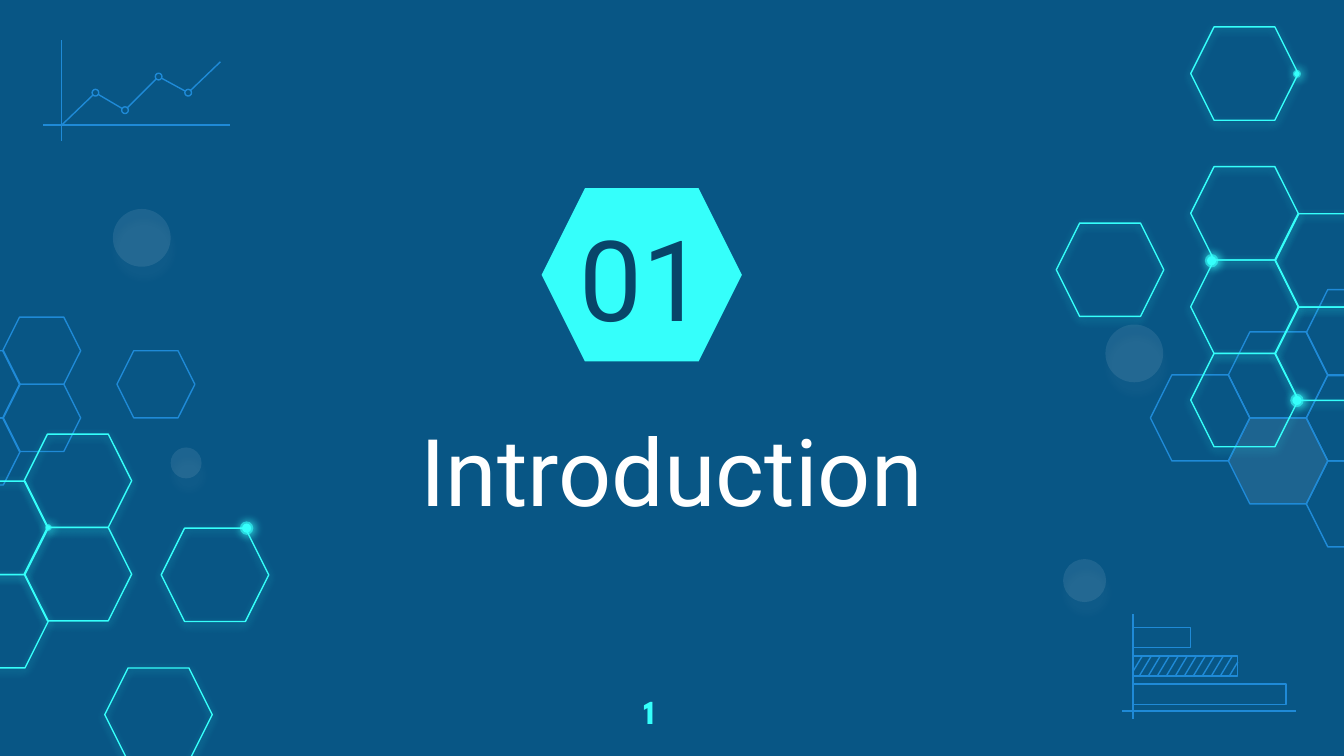
from itertools import pairwise

from lxml import etree
from pptx import Presentation
from pptx import util as u
from pptx.dml.color import RGBColor
from pptx.enum import shapes, text
from pptx.oxml.ns import qn

CELL = 0.1  # inches per grid column and row
NAVY, INK, WHITE = "085685", "084569", "FFFFFF"
BLUE, CYAN, MIST = "1F8AD7", "35FFFB", "DEE9F1"

# Shadows: colour, opacity %, blur pt, distance pt, direction in degrees
HEX_GLOW = (CYAN, 50, 4.5, 1.5, 90)
DOT_GLOW = (CYAN, 100, 5.6, 0.8, 11)
ORB_GLOW = (MIST, 35, 4.5, 6.8, 80)


def color(value):
    return RGBColor.from_string(value)


def cells(*counts):
    return [u.Inches(count * CELL) for count in counts]


def add_alpha(color_element, percent):
    etree.SubElement(color_element, qn("a:alpha"), val=str(percent * 1000))


def write(box, content, *, size, font, ink, bold=False,
          align=text.PP_ALIGN.LEFT, anchor=text.MSO_ANCHOR.TOP, pad=0.5):
    frame = box.text_frame
    frame.word_wrap = True
    frame.vertical_anchor = anchor
    frame.margin_top, frame.margin_bottom = cells(pad, pad)
    para = frame.paragraphs[0]
    para.alignment = align
    span = para.add_run()
    span.text = content
    span.font.size = u.Pt(size)
    span.font.name = font
    span.font.bold = bold
    span.font.color.rgb = color(ink)


class Sketch:
    """Draws on one slide; every position and size is in grid cells."""

    def __init__(self, page, line_width=0.75):
        self.page = page
        self.line_width = u.Pt(line_width)

    def shape(self, kind, left, top, width, height, *,
              fill=None, opacity=100, line=None, glow=None):
        item = self.page.shapes.add_shape(kind, *cells(left, top, width, height))
        item.shadow.inherit = False
        if fill:
            item.fill.solid()
            item.fill.fore_color.rgb = color(fill)
            if opacity < 100:
                tint = item.element.spPr.find(qn("a:solidFill"))[0]
                add_alpha(tint, opacity)
        else:
            item.fill.background()
        if line:
            item.line.color.rgb = color(line)
            item.line.width = self.line_width
        else:
            item.line.fill.background()
        if glow:
            self.glow(item, *glow)

    def glow(self, item, tint, opacity, blur, distance, angle):
        effects = item.element.spPr.find(qn("a:effectLst"))
        shadow = etree.SubElement(
            effects, qn("a:outerShdw"), blurRad=str(u.Pt(blur)),
            dist=str(u.Pt(distance)), dir=str(angle * 60000),
            algn="bl", rotWithShape="0")
        add_alpha(etree.SubElement(shadow, qn("a:srgbClr"), val=tint), opacity)

    def hexagon(self, left, top, width, height, **style):
        self.shape(shapes.MSO_SHAPE.HEXAGON, left, top, width, height, **style)

    def stack(self, left, top, width, height, count=1, **style):
        """Column of touching hexagons, from the top down."""
        for row in range(count):
            self.hexagon(left, top + row * height, width, height, **style)

    def circle(self, x, y, size, **style):
        """Circle given by its centre."""
        self.shape(shapes.MSO_SHAPE.OVAL, x - size / 2, y - size / 2,
                   size, size, **style)

    def bar(self, left, top, width, height):
        self.shape(shapes.MSO_SHAPE.RECTANGLE, left, top, width, height, line=BLUE)

    def line(self, start, end):
        item = self.page.shapes.add_connector(
            shapes.MSO_CONNECTOR.STRAIGHT, *cells(*start, *end))
        item.line.color.rgb = color(BLUE)
        item.line.width = self.line_width
        etree.SubElement(item.element.spPr, qn("a:effectLst"))

    def label(self, content, left, top, width, height, **style):
        box = self.page.shapes.add_textbox(*cells(left, top, width, height))
        write(box, content, **style)


def draw_line_chart(sketch):
    points = [(4.6, 9.3), (7.1, 6.9), (9.3, 8.2), (11.8, 5.7), (14, 6.9), (16.4, 4.6)]
    for start, end in pairwise(points):
        sketch.line(start, end)
    for x, y in points[1:-1]:
        sketch.circle(x, y, 0.5, fill=NAVY, line=BLUE)
    sketch.line((4.6, 3), (4.6, 10.5))
    sketch.line((3.2, 9.3), (17.1, 9.3))


def draw_bar_chart(sketch):
    left, top, pitch, height = 84.3, 46.7, 2.1, 1.5
    widths = [4.3, 7.8, 11.4]
    for row, width in enumerate(widths):
        sketch.bar(left, top + row * pitch, width, height)

    # Hatching of the middle bar, clipped at both of its ends
    right, foot_y, lean = left + widths[1], top + pitch + height, 0.9
    for step in range(12):
        foot = left - 0.2 + 0.67 * step
        ends = max(foot, left), min(foot + lean, right)
        sketch.line(*[(x, foot_y - (x - foot) / lean * height) for x in ends])

    sketch.line((left, 45.7), (left, 53.5))
    sketch.line((83.5, 52.9), (96.4, 52.9))


def draw_honeycombs(sketch):
    for left, top, count in [(97.2, 21.55, 1), (97.2, 27.9, 2), (91.4, 24.7, 1),
                             (85.6, 27.9, 1)]:
        sketch.stack(left, top, 7.4, 6.4, count, line=BLUE)
    sketch.hexagon(91.4, 31.1, 7.4, 6.4, fill=MIST, opacity=10, line=BLUE)
    for left, top, count in [(-4.3, 26.1, 2), (0.2, 23.6, 2), (8.7, 26.1, 1)]:
        sketch.stack(left, top, 5.8, 5, count, line=BLUE)
    for left, top, count in [(-4.4, 35.8, 2), (1.8, 32.3, 2), (12, 39.3, 1),
                             (7.8, 49.7, 1), (94.9, 15.9, 2), (88.6, 12.4, 3),
                             (78.6, 16.6, 1), (88.6, 2, 1)]:
        sketch.stack(left, top, 8, 6.95, count, line=CYAN, glow=HEX_GLOW)


def draw_lights(sketch):
    for x, y, size in [(84.4, 26.3, 4.3), (13.85, 34.45, 2.3),
                       (10.55, 17.7, 4.3), (80.7, 43.2, 3.2)]:
        sketch.circle(x, y, size, fill=MIST, opacity=10, glow=ORB_GLOW)
    for x, y, size in [(96.5, 5.5, 0.6), (3.6, 39.25, 0.5), (18.35, 39.3, 1),
                       (90.15, 19.4, 1), (96.5, 29.8, 1)]:
        sketch.circle(x, y, size, fill=CYAN, opacity=58, glow=DOT_GLOW)
        sketch.circle(x, y, size * 0.67, fill=CYAN, glow=DOT_GLOW)


def main():
    deck = Presentation()
    deck.slide_width = u.Inches(10)
    deck.slide_height = deck.slide_width * 9 // 16
    page = deck.slides.add_slide(deck.slide_layouts[6])
    page.background.fill.solid()
    page.background.fill.fore_color.rgb = color(NAVY)

    sketch = Sketch(page)
    heading = {"font": "Roboto", "align": text.PP_ALIGN.CENTER, "pad": 1}
    sketch.hexagon(40.3, 14, 14.9, 12.9, fill=CYAN)
    sketch.label("Introduction", 25.1, 23.6, 49.8, 16.5, size=50, ink=WHITE,
                 anchor=text.MSO_ANCHOR.BOTTOM, **heading)
    sketch.label("01", 40.7, 15.6, 14.2, 10, size=60, ink=INK,
                 anchor=text.MSO_ANCHOR.MIDDLE, **heading)
    draw_line_chart(sketch)
    draw_bar_chart(sketch)
    draw_honeycombs(sketch)
    draw_lights(sketch)
    sketch.label("1", 46.9, 50.9, 6.3, 4, size=18, font="League Spartan",
                 ink=CYAN, bold=True)
    deck.save("out.pptx")


if __name__ == "__main__":
    main()
